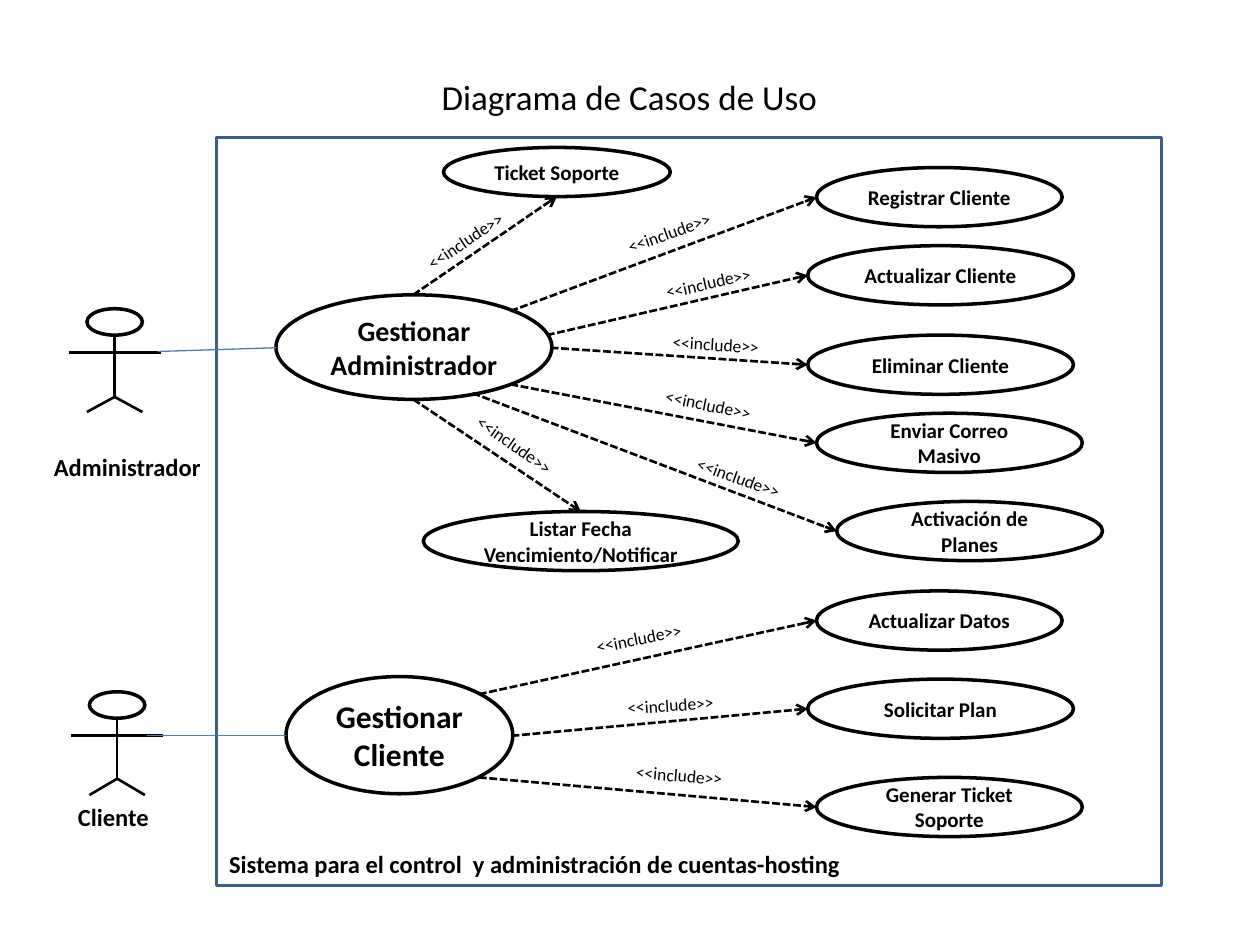
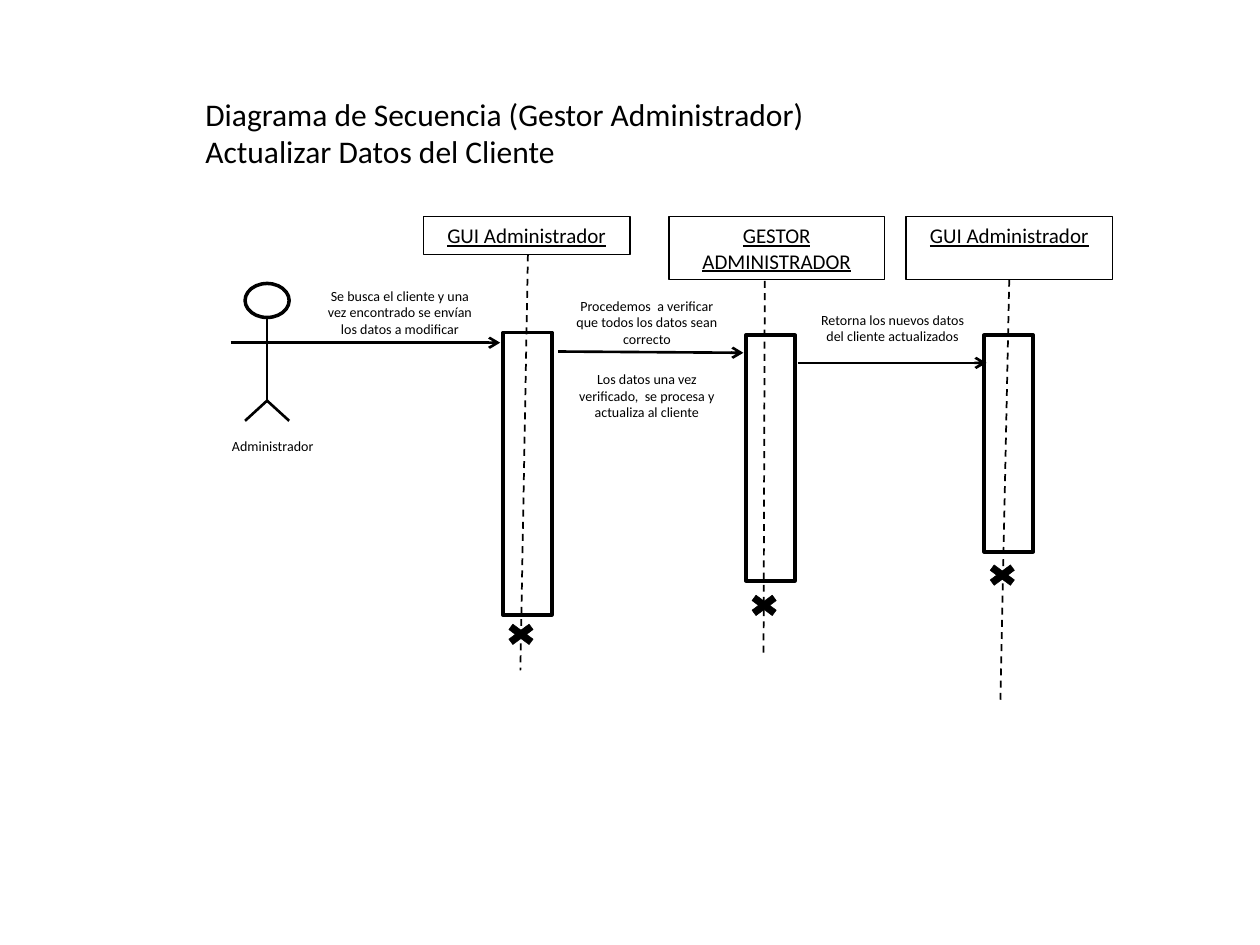
from lxml import etree
from pptx import Presentation
from pptx import util as u
from pptx.dml.color import RGBColor
from pptx.enum import dml, shapes, text
from pptx.oxml import ns

rgb = RGBColor.from_string
BLACK, WHITE, FRAME_BLUE, LINK_BLUE = "000000", "FFFFFF", "3A5F8C", "4B7EBC"
OVAL, BOX = shapes.MSO_SHAPE.OVAL, shapes.MSO_SHAPE.RECTANGLE
CROSS, STRAIGHT = shapes.MSO_SHAPE.MATH_MULTIPLY, shapes.MSO_CONNECTOR.STRAIGHT
LEFT, CENTER = text.PP_ALIGN.LEFT, text.PP_ALIGN.CENTER
TOP, MIDDLE = text.MSO_ANCHOR.TOP, text.MSO_ANCHOR.MIDDLE
SYS_DASH, DASH = dml.MSO_LINE.SQUARE_DOT, dml.MSO_LINE.DASH


def write(holder, words, size, bold=False, underline=False, align=CENTER,
          anchor=TOP, wrap=True, color=BLACK):
    frame = holder.text_frame
    frame.text = words
    frame.word_wrap = wrap
    frame.auto_size = text.MSO_AUTO_SIZE.NONE
    frame.vertical_anchor = anchor
    for paragraph in frame.paragraphs:
        paragraph.alignment = align
        font = paragraph.runs[0].font
        font.name, font.size = "Calibri", u.Pt(size)
        font.bold, font.underline = bold, underline
        font.color.rgb = rgb(color)


def paint(item, width, color=BLACK, fill=None, dash=None, arrow=False):
    if fill:
        item.fill.solid()
        item.fill.fore_color.rgb = rgb(fill)
    elif item.shape_type == shapes.MSO_SHAPE_TYPE.AUTO_SHAPE:
        item.fill.background()
    item.line.color.rgb = rgb(color)
    item.line.width = u.Pt(width)
    if dash:
        item.line.dash_style = dash
    properties = item._element.spPr
    if arrow:
        outline = properties.find(ns.qn("a:ln"))
        etree.SubElement(outline, ns.qn("a:tailEnd"), type="arrow")
    etree.SubElement(properties, ns.qn("a:effectLst"))


deck = Presentation()
deck.slide_width, deck.slide_height = u.Inches(10), u.Inches(7.5)
title_only = deck.slide_layouts[5]
use_cases = deck.slides.add_slide(title_only)
sequence = deck.slides.add_slide(title_only)

headings = [
    (use_cases, "Diagrama de Casos de Uso", (1.9, 0.5, 6.19, 0.53), 20, CENTER, MIDDLE),
    (sequence, "Diagrama de Secuencia (Gestor Administrador)\nActualizar Datos del Cliente",
     (1.53, 0.7, 5.16, 0.71), 18, LEFT, TOP),
]
for slide, words, place, size, align, anchor in headings:
    title = slide.shapes.title
    title.left, title.top, title.width, title.height = map(u.Inches, place)
    write(title, words, size, align=align, anchor=anchor)

system = use_cases.shapes.add_shape(BOX, *map(u.Inches, (1.72, 1.09, 7.5, 5.94)))
paint(system, 2, FRAME_BLUE)
system_name = use_cases.shapes.add_textbox(*map(u.Inches, (1.72, 6.69, 5.09, 0.34)))
write(system_name, "Sistema para el control  y administración de cuentas-hosting", 14,
      bold=True, align=LEFT, wrap=False)

actors = [
    (use_cases, 0.91, 2.45, 0.44, 0.21, 2.8, 0.73, 3.15, 3.27),
    (use_cases, 0.93, 5.49, 0.44, 0.21, 5.84, 0.73, 6.18, 6.31),
    (sequence, 2.12, 2.25, 0.35, 0.27, 2.72, 0.58, 3.18, 3.34),
]
for slide, center, top, head_width, head_height, arms, reach, hip, feet in actors:
    head = slide.shapes.add_shape(
        OVAL, *map(u.Inches, (center - head_width / 2, top, head_width, head_height)))
    paint(head, 2, fill=WHITE)
    limbs = [
        (center, top + head_height, center, hip),
        (center, hip, center - head_width / 2, feet),
        (center, hip, center + head_width / 2, feet),
        (center - reach / 2, arms, center + reach / 2, arms),
    ]
    for ends in limbs:
        paint(slide.shapes.add_connector(STRAIGHT, *map(u.Inches, ends)), 1.5)

captions = [
    (use_cases, "Administrador", (-0.03, 3.54, 2.08, 0.34), 14, True),
    (use_cases, "Cliente", (0.08, 6.32, 1.64, 0.34), 14, True),
    (sequence, "Administrador", (1.41, 3.42, 1.51, 0.24), 8, False),
    (sequence, "Se busca el cliente y una vez encontrado se envían los datos a modificar",
     (2.47, 2.23, 1.41, 0.5), 8, False),
    (sequence, "Procedemos  a verificar que todos los datos sean correcto",
     (4.43, 2.31, 1.41, 0.5), 8, False),
    (sequence, "Los datos una vez verificado,  se procesa y actualiza al cliente",
     (4.43, 2.89, 1.41, 0.5), 8, False),
    (sequence, "Retorna los nuevos datos del cliente actualizados",
     (6.38, 2.42, 1.41, 0.37), 8, False),
]
for slide, words, place, size, bold in captions:
    caption = slide.shapes.add_textbox(*map(u.Inches, place))
    write(caption, words, size, bold=bold)

managers = [
    ("Gestionar Administrador", (2.19, 2.34, 2.19, 0.83), 16, (1.25, 2.79, 2.19, 2.76)),
    ("Gestionar Cliente", (2.27, 5.37, 1.8, 0.93), 18, (1.17, 5.84, 2.27, 5.84)),
]
for words, place, size, ends in managers:
    manager = use_cases.shapes.add_shape(OVAL, *map(u.Inches, place))
    paint(manager, 2, fill=WHITE)
    write(manager, words, size, bold=True, anchor=MIDDLE)
    association = use_cases.shapes.add_connector(STRAIGHT, *map(u.Inches, ends))
    paint(association, 0.75, LINK_BLUE)

included = [
    ("Ticket Soporte", (3.52, 1.17, 1.8, 0.39), "bottom", (3.28, 2.34), (3.25, 1.77), -33.7),
    ("Registrar Cliente", (6.48, 1.33, 1.95, 0.47), "left", (4.05, 2.47), (4.87, 1.71), -19.8),
    ("Actualizar Cliente", (6.41, 1.95, 2.11, 0.47), "left", (4.34, 2.66), (5.18, 2.11), -12.5),
    ("Eliminar Cliente", (6.41, 2.66, 2.11, 0.47), "left", (4.37, 2.76), (5.24, 2.6), 3.2),
    ("Enviar Correo Masivo", (6.48, 3.28, 2.11, 0.47), "left", (4.05, 3.05), (5.18, 3.08), 11.6),
    ("Activación de Planes", (6.64, 3.98, 2.11, 0.47), "left", (3.75, 3.12), (5.42, 3.66), 20.1),
    ("Listar Fecha Vencimiento/Notificar", (3.36, 4.06, 2.5, 0.47), "top",
     (3.28, 3.17), (3.64, 3.4), 35.2),
    ("Actualizar Datos", (6.48, 4.69, 1.95, 0.47), "left", (3.8, 5.51), (4.63, 4.93), -11.3),
    ("Solicitar Plan", (6.41, 5.39, 2.11, 0.47), "left", (4.06, 5.84), (4.88, 5.46), -3.6),
    ("Generar Ticket Soporte", (6.48, 6.17, 2.11, 0.47), "left", (3.8, 6.17), (4.95, 6.02), 4.7),
]
for words, place, side, start, label_corner, angle in included:
    left, top, width, height = place
    target = {
        "left": (left, top + height / 2),
        "top": (left + width / 2, top),
        "bottom": (left + width / 2, top + height),
    }[side]
    use_case = use_cases.shapes.add_shape(OVAL, *map(u.Inches, place))
    paint(use_case, 2, fill=WHITE)
    write(use_case, words, 12, bold=True, anchor=MIDDLE)
    include = use_cases.shapes.add_connector(STRAIGHT, *map(u.Inches, start + target))
    paint(include, 1.5, dash=SYS_DASH, arrow=True)
    label = use_cases.shapes.add_textbox(*map(u.Inches, label_corner + (0.9, 0.27)))
    label.rotation = angle
    write(label, "<<include>>", 10, align=LEFT, wrap=False)

participants = [
    ("GUI Administrador", (3.36, 1.72, 1.64, 0.3), (4.19, 2.02, 4.13, 5.32),
     (3.99, 2.64, 0.39, 2.24), (3.98, 4.92)),
    ("GESTOR ADMINISTRADOR", (5.31, 1.72, 1.71, 0.5), (6.07, 2.23, 6.06, 5.19),
     (5.92, 2.66, 0.39, 1.95), (5.91, 4.69)),
    ("GUI Administrador", (7.19, 1.72, 1.64, 0.5), (8.01, 2.22, 7.94, 5.56),
     (7.81, 2.66, 0.39, 1.72), (7.8, 4.45)),
]
for words, place, life_ends, active_place, end_corner in participants:
    participant = sequence.shapes.add_shape(BOX, *map(u.Inches, place))
    paint(participant, 0.75)
    write(participant, words, 12, underline=True)
    lifeline = sequence.shapes.add_connector(STRAIGHT, *map(u.Inches, life_ends))
    paint(lifeline, 1, dash=DASH)
    activation = sequence.shapes.add_shape(BOX, *map(u.Inches, active_place))
    paint(activation, 2)
    destruction = sequence.shapes.add_shape(CROSS, *map(u.Inches, end_corner + (0.31, 0.23)))
    paint(destruction, 0.25, fill=BLACK)

messages = [(2.38, 2.72, 3.97, 2.72), (4.43, 2.79, 5.9, 2.8), (6.33, 2.88, 7.83, 2.88)]
for ends in messages:
    message = sequence.shapes.add_connector(STRAIGHT, *map(u.Inches, ends))
    paint(message, 1.5, arrow=True)

deck.save("out.pptx")
